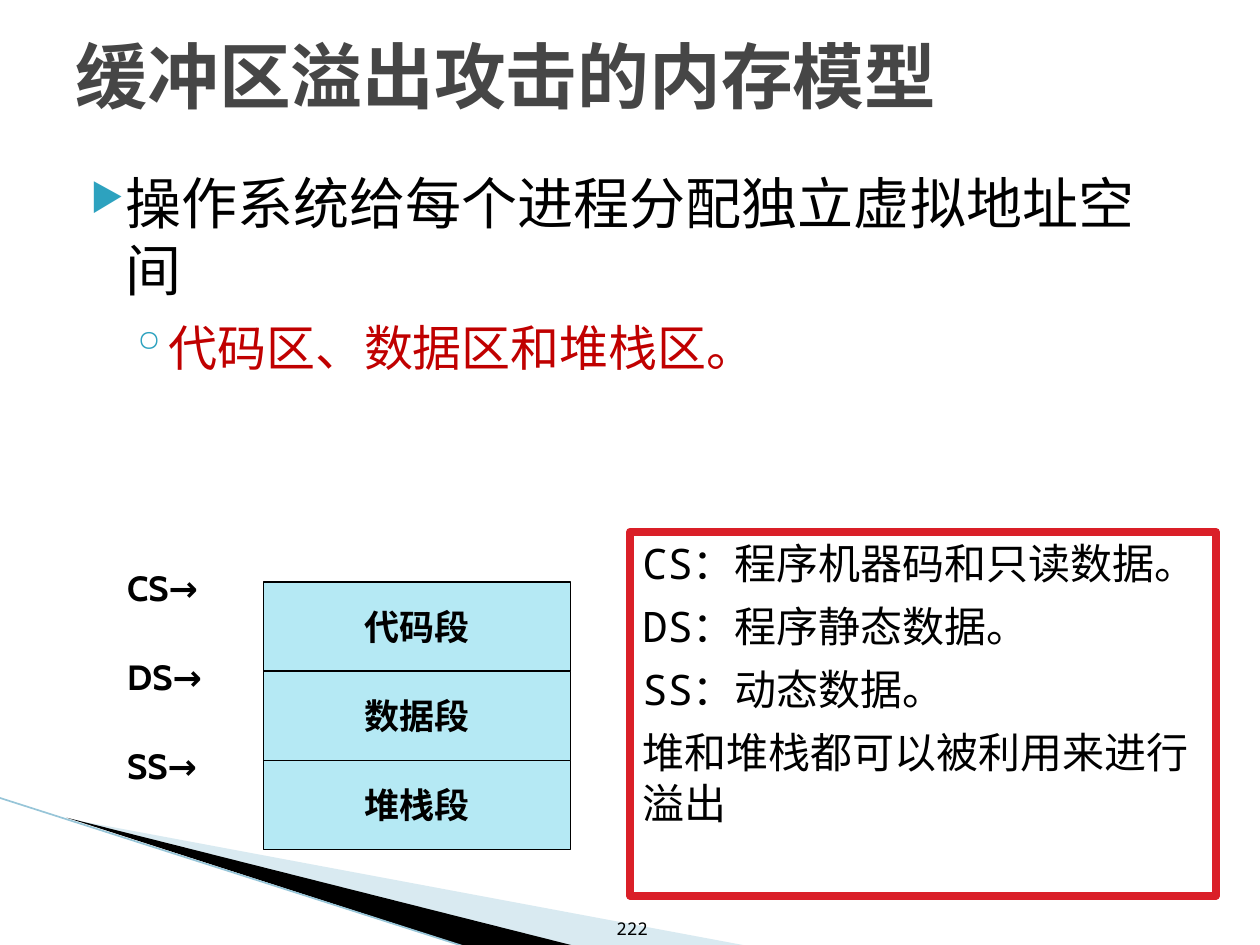
from lxml import etree
from pptx import Presentation
from pptx.dml.color import RGBColor
from pptx.enum import shapes, text
from pptx.oxml import ns
from pptx.util import Inches, Pt

HUES = {"ink": "000000", "title": "464646", "red": "C00000", "frame": "DA1F28",
        "cell": "B5E9F4", "bullet": "2DA2BF", "pale": "A0CBDC",
        "edge": "97C5D8", "paper": "FFFFFF"}
MONO, SANS = "Noto Sans Mono", "Cabin"


def hue(name):
    return RGBColor.from_string(HUES[name])


def style(para, size, face=MONO, color="ink", bold=False):
    font = para.font
    font.size, font.name, font.bold = Pt(size), face, bold
    font.color.rgb = hue(color)


def sub(node, tag, **attrs):
    return etree.SubElement(node, ns.qn(tag), attrs)


def bullet(para, char, left, hang, size=100):
    props = para._p.get_or_add_pPr()
    props.set("marL", str(Inches(left)))
    props.set("indent", str(-Inches(hang)))
    sub(sub(props, "a:buClr"), "a:srgbClr", val=HUES["bullet"])
    sub(props, "a:buSzPct", val=str(size * 1000))
    sub(props, "a:buChar", char=char)


def add_text(slide, x, y, w, h):
    frame = slide.shapes.add_textbox(
        Inches(x), Inches(y), Inches(w), Inches(h)).text_frame
    frame.word_wrap = True
    return frame


def add_rect(slide, x, y, w, h, fill, line, width):
    rect = slide.shapes.add_shape(
        shapes.MSO_SHAPE.RECTANGLE, Inches(x), Inches(y), Inches(w), Inches(h))
    rect.shadow.inherit = False
    rect.fill.solid()
    rect.fill.fore_color.rgb = hue(fill)
    rect.line.color.rgb = hue(line)
    rect.line.width = Pt(width)
    return rect.text_frame


def add_wedge(slide, points, color, alpha=100):
    spots = [(Inches(x), Inches(y)) for x, y in points]
    pen = slide.shapes.build_freeform(*spots[0])
    pen.add_line_segments(spots[1:], close=True)
    wedge = pen.convert_to_shape()
    wedge.shadow.inherit = False
    wedge.line.fill.background()
    wedge.fill.solid()
    wedge.fill.fore_color.rgb = hue(color)
    if alpha < 100:
        tint = wedge._element.spPr.find(".//" + ns.qn("a:srgbClr"))
        sub(tint, "a:alpha", val=str(alpha * 1000))


def add_swoosh(slide):
    """Draw the corner wedges and the thin line along them."""
    add_wedge(slide, [(0.55, 6.5), (5.95, 7.51), (4.56, 7.51)], "pale", 40)
    add_wedge(slide, [(0.53, 6.49), (4.57, 7.51), (3.72, 7.52)], "ink")
    line = slide.shapes.add_connector(
        shapes.MSO_CONNECTOR.STRAIGHT,
        Inches(-0.01), Inches(6.33), Inches(3.71), Inches(7.52))
    line.line.color.rgb = hue("edge")
    line.line.width = Pt(0.95)
    sub(line._element.spPr, "a:effectLst")


def set_title(slide, x, y, w, h):
    title = slide.shapes.title
    title.left, title.top = Inches(x), Inches(y)
    title.width, title.height = Inches(w), Inches(h)
    frame = title.text_frame
    frame.text = "缓冲区溢出攻击的内存模型"
    frame.vertical_anchor = text.MSO_ANCHOR.MIDDLE
    para = frame.paragraphs[0]
    para.alignment = text.PP_ALIGN.LEFT
    style(para, 41, color="title", bold=True)


def add_body(slide, x, y, w, h):
    frame = add_text(slide, x, y, w, h)
    main = frame.paragraphs[0]
    main.text = "操作系统给每个进程分配独立虚拟地址空间"
    bullet(main, "▶", 0.4, 0.28, 68)
    style(main, 32)
    item = frame.add_paragraph()
    item.text = "代码区、数据区和堆栈区。"
    item.level = 1
    item.space_before = Pt(8.4)
    bullet(item, "◦", 0.68, 0.25)
    style(item, 28, color="red")


def add_stack(slide, x, y, w, h):
    """Stack the memory segments, each with its register on the left."""
    rows = [("CS→", "代码段"), ("DS→", "数据段"), ("SS→", "堆栈段")]
    step = h / len(rows)
    for i, (reg, name) in enumerate(rows):
        top = y + i * step
        cell = add_rect(slide, x, top, w, step, "cell", "ink", 0.75)
        cell.vertical_anchor = text.MSO_ANCHOR.MIDDLE
        cell.word_wrap = False
        label = add_text(slide, x - 1.18, top - 0.17, 0.95, 0.43)
        for frame, words in ((cell, name), (label, reg)):
            frame.text = words
            style(frame.paragraphs[0], 20, SANS, bold=True)
        cell.paragraphs[0].alignment = text.PP_ALIGN.CENTER


def add_notes(slide, x, y, w, h):
    """Frame the explanation of the registers."""
    frame = add_rect(slide, x, y, w, h, "paper", "frame", 4.33)
    frame.vertical_anchor = text.MSO_ANCHOR.TOP
    frame.text = "\n".join(["CS：程序机器码和只读数据。", "DS：程序静态数据。",
                            "SS：动态数据。", "堆和堆栈都可以被利用来进行溢出"])
    for i, para in enumerate(frame.paragraphs):
        para.alignment = text.PP_ALIGN.LEFT
        if i:
            para.space_before = Pt(7.2)
        style(para, 24)


def add_number(slide, x, y, w, h):
    frame = add_text(slide, x, y, w, h)
    frame.vertical_anchor = text.MSO_ANCHOR.BOTTOM
    frame.text = "222"
    para = frame.paragraphs[0]
    para.alignment = text.PP_ALIGN.RIGHT
    style(para, 10)


def main():
    deck = Presentation()
    deck.slide_width, deck.slide_height = Inches(10), Inches(7.5)
    slide = deck.slides.add_slide(deck.slide_layouts[5])
    add_swoosh(slide)
    set_title(slide, 0.5, -0.03, 9, 1.25)
    add_body(slide, 0.5, 1.29, 9, 5.7)
    add_stack(slide, 2.09, 4.62, 2.44, 2.12)
    add_notes(slide, 5, 4.22, 4.65, 2.89)
    add_number(slide, 4.68, 7.01, 0.56, 0.49)
    deck.save("out.pptx")


if __name__ == "__main__":
    main()
